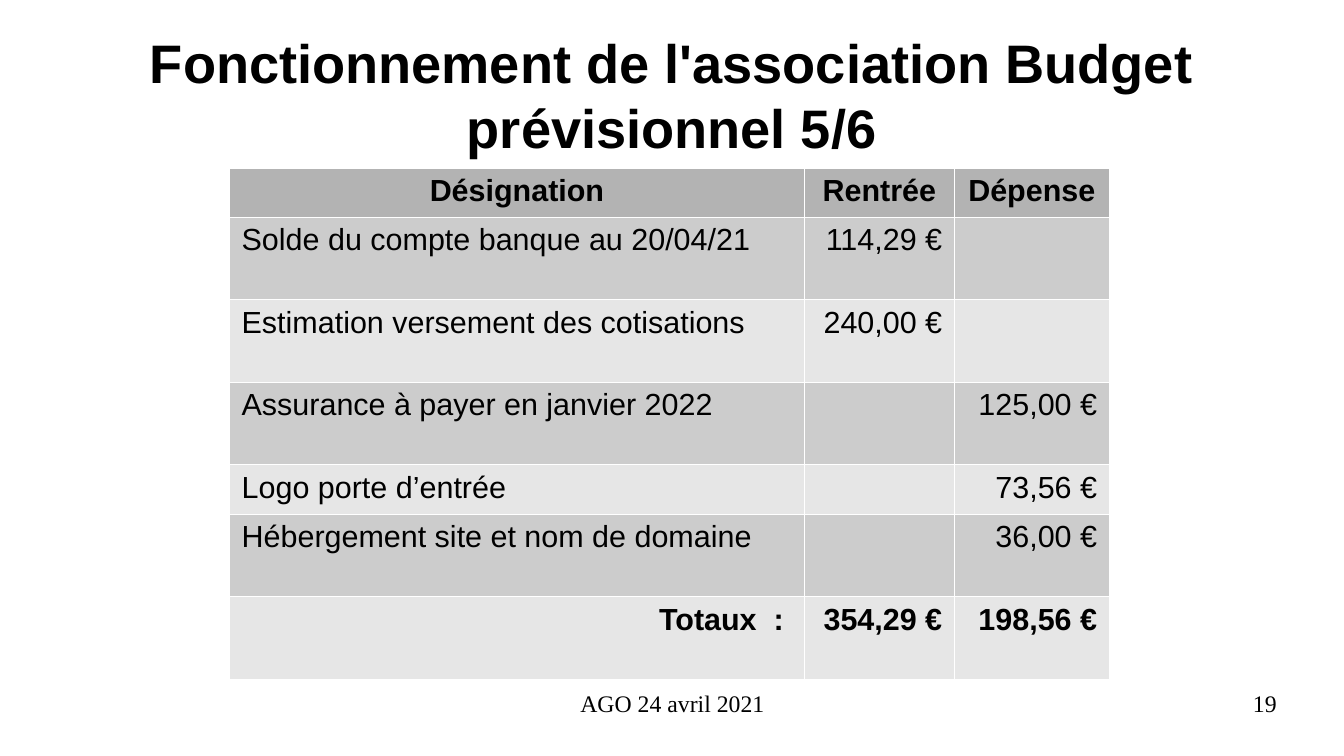
from lxml import etree
from pptx import Presentation
from pptx.dml.color import RGBColor
from pptx.enum import text as t
from pptx.oxml import ns
from pptx.util import Pt

LEFT, CENTER, RIGHT = t.PP_ALIGN.LEFT, t.PP_ALIGN.CENTER, t.PP_ALIGN.RIGHT


def rgb(value):
    return RGBColor.from_string(value)


def write(frame, content, size=18, font="Arial", bold=False, align=LEFT, margins=(0, 0)):
    frame.word_wrap = True
    frame.margin_left = frame.margin_right = Pt(margins[0])
    frame.margin_top = frame.margin_bottom = Pt(margins[1])
    paragraph = frame.paragraphs[0]
    paragraph.alignment = align
    run = paragraph.add_run()
    run.text = content
    run.font.size, run.font.name, run.font.bold = Pt(size), font, bold
    run.font.color.rgb = rgb("000000")


prs = Presentation()
prs.slide_width, prs.slide_height = Pt(793.5), Pt(446.4)
slide = prs.slides.add_slide(prs.slide_layouts[5])

# Title
title = slide.shapes.title
title.left, title.top, title.width, title.height = Pt(39.6), Pt(18), Pt(714.3), Pt(74.9)
write(title.text_frame, "Fonctionnement de l'association Budget prévisionnel 5/6",
      size=32, bold=True, align=CENTER)
title.text_frame.vertical_anchor = t.MSO_ANCHOR.MIDDLE

# Budget table
budget_lines = [
    ("Désignation", "Rentrée", "Dépense"),
    ("Solde du compte banque au 20/04/21", "114,29 €", ""),
    ("Estimation versement des cotisations", "240,00 €", ""),
    ("Assurance à payer en janvier 2022", "", "125,00 €"),
    ("Logo porte d’entrée", "", "73,56 €"),
    ("Hébergement site et nom de domaine", "", "36,00 €"),
    ("Totaux  : ", "354,29 €", "198,56 €"),
]
column_widths = [339.5, 88.5, 91.5]
row_heights = [28.8, 48.7, 48.7, 48.7, 28.8, 48.7, 48.7]
header, totals = 0, len(budget_lines) - 1

budget = slide.shapes.add_table(len(budget_lines), len(column_widths), Pt(135.5), Pt(99.3),
                                Pt(sum(column_widths)), Pt(sum(row_heights))).table
for column, width in zip(budget.columns, column_widths):
    column.width = Pt(width)

for r, (line, height) in enumerate(zip(budget_lines, row_heights)):
    budget.rows[r].height = Pt(height)
    fill = "B3B3B3" if r == header else "CCCCCC" if r % 2 else "E6E6E6"
    for c, entry in enumerate(line):
        cell = budget.cell(r, c)
        cell.fill.solid()
        cell.fill.fore_color.rgb = rgb(fill)
        # Thin white borders come before the fill
        properties = cell._tc.get_or_add_tcPr()
        for i, side in enumerate(("lnL", "lnR", "lnT", "lnB")):
            border = etree.Element(ns.qn(f"a:{side}"), w=str(Pt(0.06)))
            solid = etree.SubElement(border, ns.qn("a:solidFill"))
            etree.SubElement(solid, ns.qn("a:srgbClr"), val="FFFFFF")
            properties.insert(i, border)
        if entry:
            align = CENTER if r == header else RIGHT if c or r == totals else LEFT
            write(cell.text_frame, entry, bold=r in (header, totals), align=align)
            cell.margin_left = cell.margin_right = Pt(7.2)
            cell.margin_top = cell.margin_bottom = Pt(3.6)

# Footer: meeting date and page number
for content, left, width, align in [("AGO 24 avril 2021", 271.4, 251.3, CENTER),
                                    ("19", 568.8, 185, RIGHT)]:
    footer = slide.shapes.add_textbox(Pt(left), Pt(406.8), Pt(width), Pt(31))
    write(footer.text_frame, content, size=14, font="Times New Roman", align=align)

prs.save("out.pptx")
